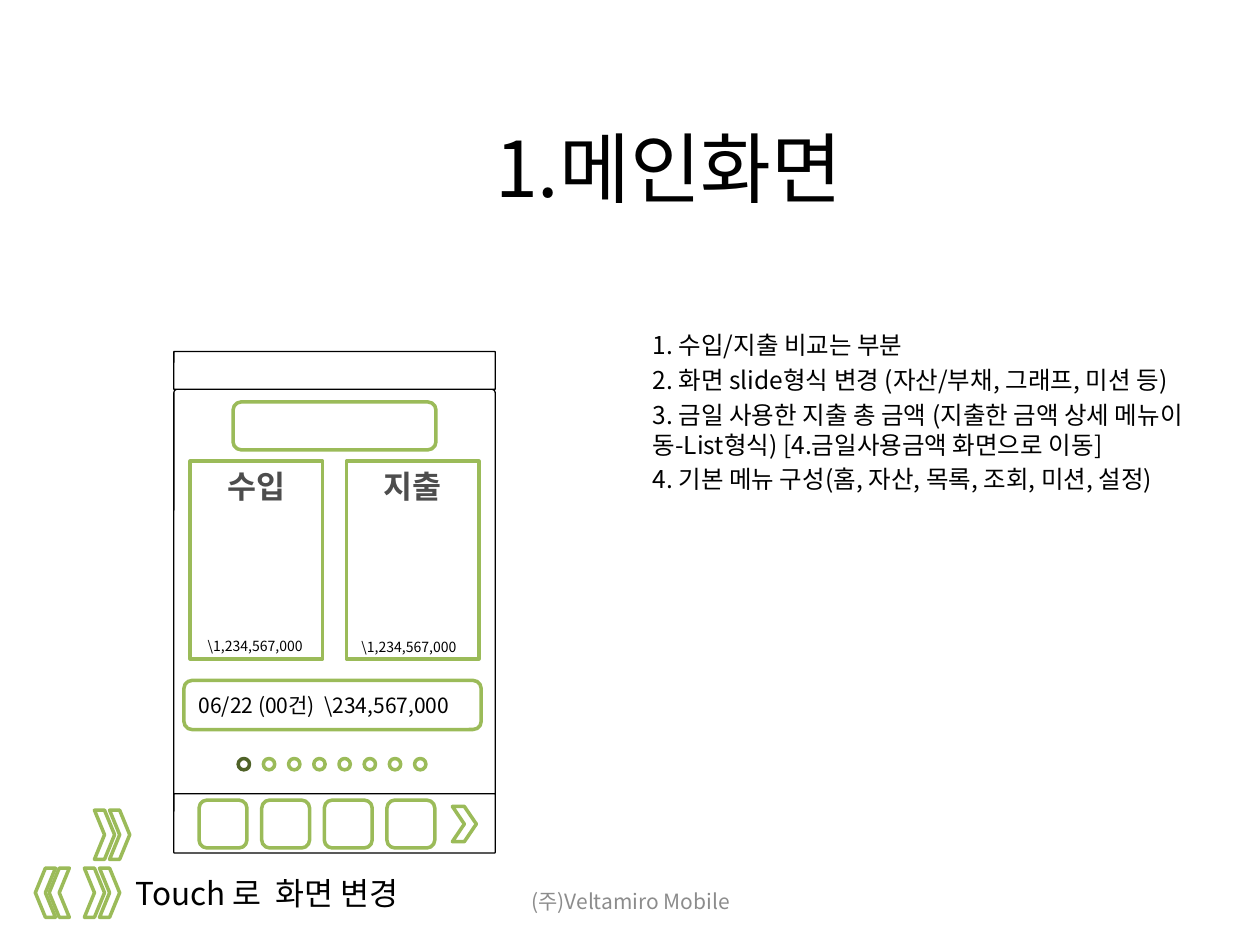
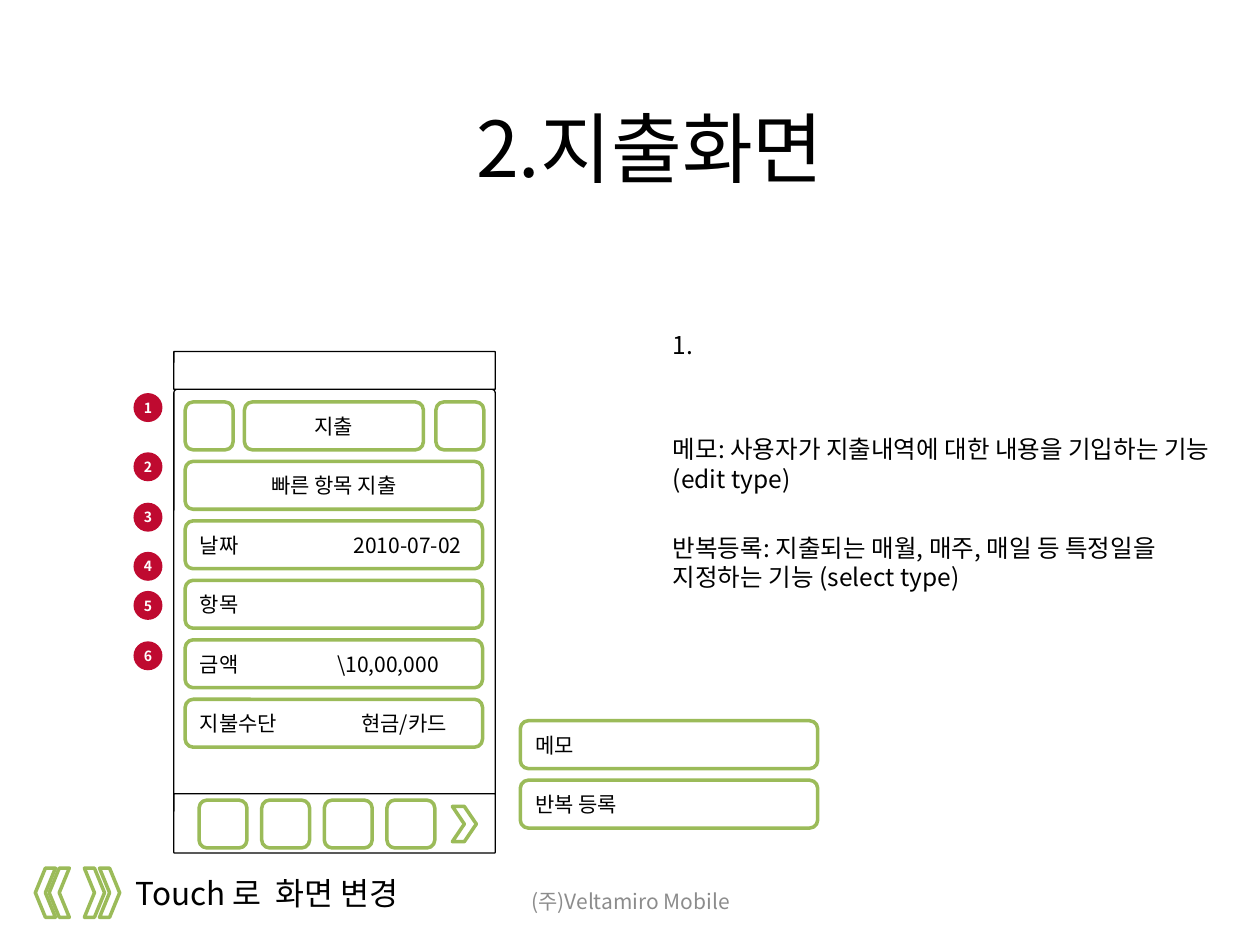
import pptx
import pptx.util
import pptx.dml.color
import pptx.enum.shapes
import pptx.enum.text
import pptx.oxml
import pptx.oxml.ns

KIND = pptx.enum.shapes.MSO_SHAPE
ALIGN = pptx.enum.text.PP_ALIGN
ANCHOR = pptx.enum.text.MSO_ANCHOR

WIDTH, HEIGHT = pptx.util.Inches(10), pptx.util.Inches(7.5)
COLUMN, ROW = WIDTH / 100, HEIGHT / 75

FONT = "Noto Sans CJK KR"
BLACK, WHITE, GREEN, DARK_GREEN = "000000", "FFFFFF", "9BBB59", "4F6228"
GRAY, FOOTER_GRAY, RED = "4D4D4D", "8C8C8C", "BF0A30"

PHONE_LEFT, PHONE_WIDTH = 13.8, 25.5
FIELD_LEFT, FIELD_WIDTH, FIELD_HEIGHT = 14.7, 23.6, 3.8
FIELD_TOP, FIELD_STEP = 31.9, 4.72


def color(value):
    return pptx.dml.color.RGBColor.from_string(value)


def cells(left, top, width, height):
    return [round(left * COLUMN), round(top * ROW), round(width * COLUMN), round(height * ROW)]


def write(paragraph, text, size, fill=BLACK, bold=False, font=FONT, align=ALIGN.LEFT):
    paragraph.alignment = align
    run = paragraph.add_run()
    run.text = text
    run.font.size = pptx.util.Pt(size)
    run.font.name = font
    run.font.bold = bold
    run.font.color.rgb = color(fill)
    east_asian = pptx.oxml.parse_xml(f'<a:ea {pptx.oxml.ns.nsdecls("a")} typeface="{FONT}"/>')
    run.font._element.find(pptx.oxml.ns.qn("a:latin")).addnext(east_asian)


def add_tab_stop(paragraph, column):
    tabs = pptx.oxml.parse_xml(
        f'<a:tabLst {pptx.oxml.ns.nsdecls("a")}>'
        f'<a:tab pos="{round(column * COLUMN)}" algn="l"/></a:tabLst>')
    paragraph._element.get_or_add_pPr().append(tabs)


def add_shape(shapes, kind, area, fill=WHITE, line=GREEN, weight=2):
    shape = shapes.add_shape(kind, *cells(*area))
    shape.shadow.inherit = False
    shape.fill.solid()
    shape.fill.fore_color.rgb = color(fill)
    if line:
        shape.line.color.rgb = color(line)
        shape.line.width = pptx.util.Pt(weight)
    else:
        shape.line.fill.background()
    return shape


def add_label(shapes, area, text, size, fill=BLACK, align=ALIGN.LEFT,
              anchor=ANCHOR.TOP, wrap=False):
    frame = shapes.add_textbox(*cells(*area)).text_frame
    frame.word_wrap = wrap
    frame.vertical_anchor = anchor
    write(frame.paragraphs[0], text, size, fill, align=align)


def add_field(shapes, area, text="", align=ALIGN.LEFT, tab=None):
    shape = add_shape(shapes, KIND.ROUNDED_RECTANGLE, area)
    if text:
        frame = shape.text_frame
        frame.vertical_anchor = ANCHOR.MIDDLE
        write(frame.paragraphs[0], text, 12, align=align)
        if tab:
            add_tab_stop(frame.paragraphs[0], tab)


def add_panel(shapes, left, title):
    frame = add_shape(shapes, KIND.RECTANGLE, (left, 36.6, 10.5, 15.7)).text_frame
    frame.vertical_anchor = ANCHOR.TOP
    write(frame.paragraphs[0], title, 18, GRAY, True, "Arial", ALIGN.CENTER)


def add_badge(shapes, top, number):
    badge = add_shape(shapes, KIND.OVAL, (10.6, top, 2.3, 2.3), RED, None)
    frame = badge.text_frame
    frame.margin_left = frame.margin_right = frame.margin_top = frame.margin_bottom = 0
    frame.word_wrap = False
    frame.vertical_anchor = ANCHOR.MIDDLE
    write(frame.paragraphs[0], str(number), 8, WHITE, True, align=ALIGN.CENTER)


def add_arrow_pair(slide, left, top, step=1.2, rotation=0):
    group = slide.shapes.add_group_shape()
    for index in range(2):
        chevron = add_shape(group.shapes, KIND.CHEVRON, (left + index * step, top, 1.6, 3.9))
        chevron.rotation = rotation


def add_phone(slide):
    shapes = slide.shapes.add_group_shape().shapes
    for top, height in ((30.9, 32.4), (63, 4.7), (27.9, 3)):
        frame = add_shape(shapes, KIND.ROUNDED_RECTANGLE,
                          (PHONE_LEFT, top, PHONE_WIDTH, height), line=BLACK, weight=0.75)
        frame.adjustments[0] = 0.01
    for index in range(4):
        add_field(shapes, (15.8 + index * 4.97, 63.5, 3.8, 3.8))
    add_shape(shapes, KIND.CHEVRON, (35.9, 64, 1.9, 2.8))
    return shapes


def add_body(placeholder, left, items):
    placeholder.left, placeholder.top, placeholder.width, placeholder.height = cells(
        left, 25.7, 46.5, 37)
    frame = placeholder.text_frame
    frame.auto_size = pptx.enum.text.MSO_AUTO_SIZE.NONE
    frame.word_wrap = True
    frame.vertical_anchor = ANCHOR.TOP
    for index, (text, space) in enumerate(items):
        paragraph = frame.add_paragraph() if index else frame.paragraphs[0]
        paragraph.space_before = pptx.util.Pt(space)
        paragraph.line_spacing = pptx.util.Pt(17)
        write(paragraph, text, 14)


def add_page(presentation, title, title_left, title_top, body_left, items):
    slide = presentation.slides.add_slide(presentation.slide_layouts[0])
    heading = slide.shapes.title
    heading.left, heading.top, heading.width, heading.height = cells(
        title_left, title_top, 85, 16.1)
    heading.text_frame.vertical_anchor = ANCHOR.MIDDLE
    write(heading.text_frame.paragraphs[0], title, 44, align=ALIGN.CENTER)
    add_body(slide.placeholders[1], body_left, items)
    add_arrow_pair(slide, 6.7, 68.9)
    add_arrow_pair(slide, 3.9, 68.9, -1.1, 180)
    add_label(slide.shapes, (9.8, 68.9, 24.9, 4), "Touch 로  화면 변경", 18)
    add_label(slide.shapes, (34.2, 69.5, 31.7, 4), "(주)Veltamiro Mobile", 12,
              FOOTER_GRAY, ALIGN.CENTER, ANCHOR.MIDDLE, True)
    return slide


def build_main_screen(presentation):
    items = [
        "1. 수입/지출 비교는 부분",
        "2. 화면 slide형식 변경 (자산/부채, 그래프, 미션 등)",
        "3. 금일 사용한 지출 총 금액 (지출한 금액 상세 메뉴이동-List형식) [4.금일사용금액 화면으로 이동]",
        "4. 기본 메뉴 구성(홈, 자산, 목록, 조회, 미션, 설정)",
    ]
    slide = add_page(presentation, "1.메인화면", 10.6, 5.2, 50.8, [(text, 2.8) for text in items])
    add_arrow_pair(slide, 7.5, 64.3)
    phone = add_phone(slide)
    add_field(phone, (18.5, FIELD_TOP, 16.1, FIELD_HEIGHT))
    for left, title in ((15.1, "수입"), (27.5, "지출")):
        add_panel(phone, left, title)
    for area in ((15.5, 50.1, 9.8, 2.4), (27.7, 50.2, 11.7, 2.8)):
        add_label(phone, area, "\\1,234,567,000", 8)
    add_field(phone, (14.6, 54, FIELD_WIDTH, 3.9), "06/22 (00건)  \\234,567,000")
    for index in range(8):
        add_shape(phone, KIND.OVAL, (18.9 + index * 2, 60.2, 0.9, 0.9),
                  line=GREEN if index else DARK_GREEN)


def build_expense_screen(presentation):
    items = [
        ("1.", 2.8),
        ("메모: 사용자가 지출내역에 대한 내용을 기입하는 기능 (edit type)", 42),
        ("반복등록: 지출되는 매월, 매주, 매일 등 특정일을 지정하는 기능 (select type)", 22.5),
    ]
    slide = add_page(presentation, "2.지출화면", 9.1, 3.6, 52.4, items)
    for number, top in enumerate((31.2, 35.9, 39.9, 43.8, 46.9, 50.9), 1):
        add_badge(slide.shapes, top, number)
    phone = add_phone(slide)
    for left, width, text in ((14.7, 3.8, ""), (19.4, 14.2, "지출"), (34.6, 3.8, "")):
        add_field(phone, (left, FIELD_TOP, width, FIELD_HEIGHT), text, ALIGN.CENTER)
    fields = [
        ("빠른 항목 지출", ALIGN.CENTER, None),
        ("날짜\t2010-07-02", ALIGN.LEFT, 12.2),
        ("항목", ALIGN.LEFT, None),
        ("금액\t\\10,00,000", ALIGN.LEFT, 10.9),
        ("지불수단\t현금/카드", ALIGN.LEFT, 12.8),
    ]
    for row, (text, align, tab) in enumerate(fields, 1):
        add_field(phone, (FIELD_LEFT, FIELD_TOP + row * FIELD_STEP, FIELD_WIDTH, FIELD_HEIGHT),
                  text, align, tab)
    for row, text in enumerate(("메모", "반복 등록")):
        add_field(slide.shapes, (41.3, 57.2 + row * FIELD_STEP, FIELD_WIDTH, FIELD_HEIGHT), text)


def main():
    presentation = pptx.Presentation()
    presentation.slide_width, presentation.slide_height = WIDTH, HEIGHT
    build_main_screen(presentation)
    build_expense_screen(presentation)
    presentation.save("out.pptx")


main()
